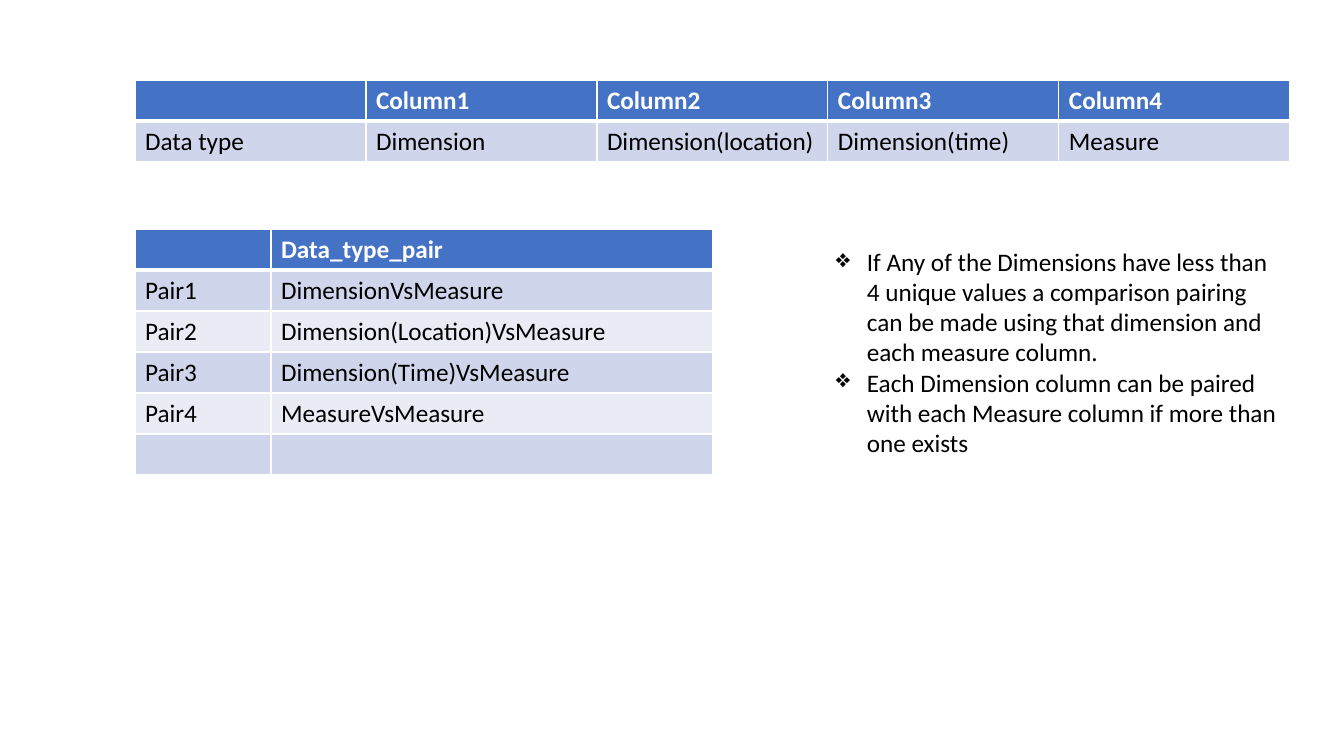
from lxml import etree
from pptx import Presentation
from pptx import util as u
from pptx.dml.color import RGBColor
from pptx.enum import text
from pptx.oxml.ns import qn

SCALE = 914400 / 100.8
FONT = "Calibri"
BLUE = RGBColor(0x44, 0x72, 0xC4)
BAND_DARK = RGBColor(0xCF, 0xD5, 0xEA)
BAND_LIGHT = RGBColor(0xE9, 0xEB, 0xF5)
WHITE = RGBColor(0xFF, 0xFF, 0xFF)
BLACK = RGBColor(0, 0, 0)
ROW_HEIGHT = 41

COLUMN_TYPES = [
    ["", "Column1", "Column2", "Column3", "Column4"],
    ["Data type", "Dimension", "Dimension(location)", "Dimension(time)", "Measure"],
]
TYPE_PAIRS = [
    ["", "Data_type_pair"],
    ["Pair1", "DimensionVsMeasure"],
    ["Pair2", "Dimension(Location)VsMeasure"],
    ["Pair3", "Dimension(Time)VsMeasure"],
    ["Pair4", "MeasureVsMeasure"],
    ["", ""],
]
PAIRING_RULES = [
    "If Any of the Dimensions have less than 4 unique values a comparison "
    "pairing can be made using that dimension and each measure column. ",
    "Each Dimension column can be paired with each Measure column if more "
    "than one exists",
]


def px(n):
    return u.Emu(round(n * SCALE))


def set_font(p, color, bold=False):
    p.font.name = FONT
    p.font.size = u.Pt(18)
    p.font.bold = bold
    p.font.color.rgb = color


def set_borders(cell, widths):
    tcPr = cell._tc.get_or_add_tcPr()
    for side, width in widths.items():
        ln = etree.SubElement(tcPr, qn("a:ln" + side), w=str(u.Pt(width)))
        fill = etree.SubElement(ln, qn("a:solidFill"))
        etree.SubElement(fill, qn("a:srgbClr"), val=str(WHITE))


def format_cell(cell, row, value):
    header = row == 0
    set_borders(cell, {"L": 1, "R": 1, "T": 3 if row == 1 else 1, "B": 3 if header else 1})
    cell.fill.solid()
    cell.fill.fore_color.rgb = BLUE if header else BAND_DARK if row % 2 else BAND_LIGHT
    cell.text = value
    set_font(cell.text_frame.paragraphs[0], WHITE if header else BLACK, header)


def add_grid(s, left, top, widths, rows):
    frame = s.shapes.add_table(len(rows), len(widths), px(left), px(top),
                               px(sum(widths)), px(ROW_HEIGHT * len(rows)))
    table = frame.table
    for column, width in zip(table.columns, widths):
        column.width = px(width)
    for i, values in enumerate(rows):
        table.rows[i].height = px(ROW_HEIGHT)
        for j, value in enumerate(values):
            format_cell(table.cell(i, j), i, value)


def add_bullets(s, left, top, width, height, items):
    sp = s.shapes.add_textbox(px(left), px(top), px(width), px(height))
    tf = sp.text_frame
    tf.word_wrap = True
    tf.auto_size = text.MSO_AUTO_SIZE.SHAPE_TO_FIT_TEXT
    tf.text = "\n".join(items)
    for p in tf.paragraphs:
        set_font(p, BLACK)
        pPr = p._p.get_or_add_pPr()
        pPr.set("marL", str(px(31)))
        pPr.set("indent", str(-px(31)))
        bullet = etree.Element(qn("a:buChar"), char="❖")
        pPr.insert(0, bullet)


def main():
    prs = Presentation()
    prs.slide_width, prs.slide_height = px(1344), px(756)
    s = prs.slides.add_slide(prs.slide_layouts[6])
    add_grid(s, 135, 80, [231] * 5, COLUMN_TYPES)
    add_grid(s, 135, 229, [136, 442], TYPE_PAIRS)
    add_bullets(s, 826, 241, 466, 224, PAIRING_RULES)
    prs.save("out.pptx")


main()
